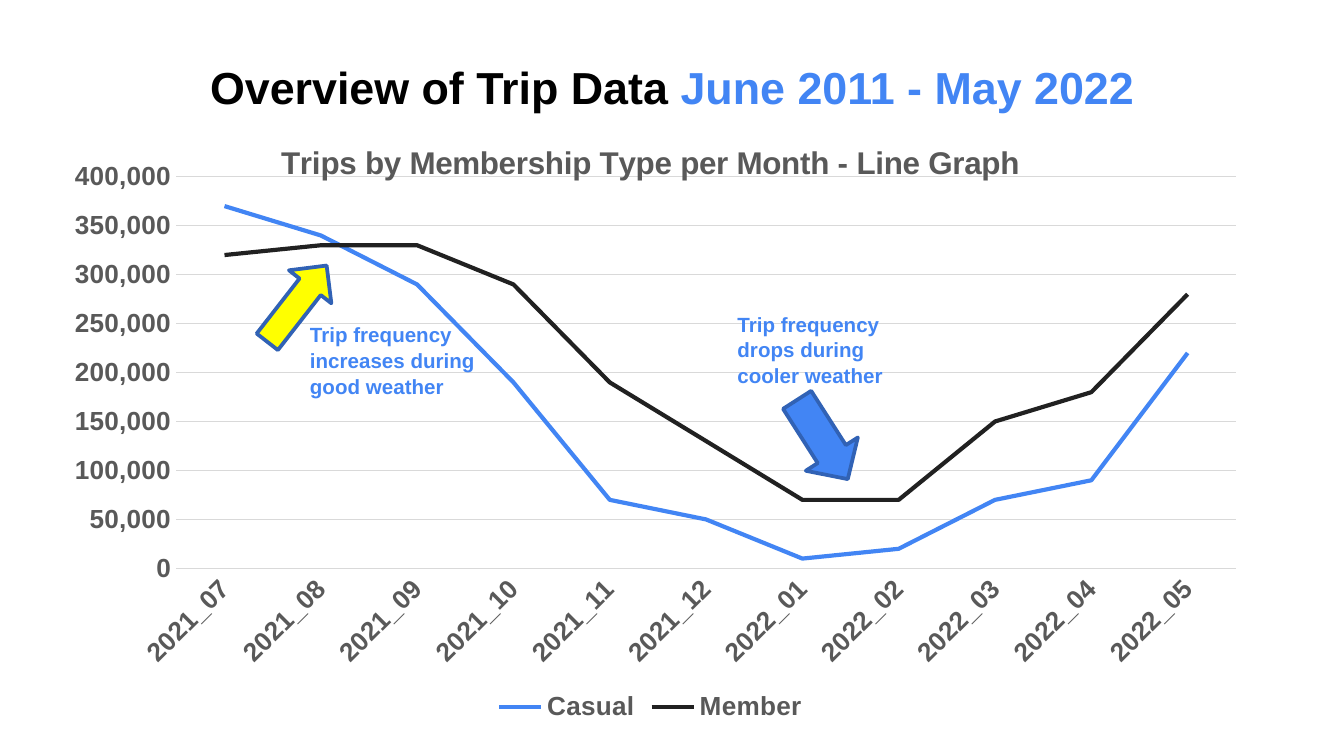
from dataclasses import dataclass

from lxml.etree import SubElement
from pptx import Presentation
from pptx.chart.chart import Chart
from pptx.chart.data import CategoryChartData
from pptx.dml.color import RGBColor
from pptx.enum.chart import XL_CHART_TYPE as ChartType
from pptx.enum.chart import XL_LEGEND_POSITION as LegendPosition
from pptx.enum.chart import XL_MARKER_STYLE as Marker
from pptx.enum.chart import XL_TICK_MARK as TickMark
from pptx.enum.shapes import MSO_SHAPE as Shape
from pptx.enum.text import MSO_ANCHOR as Anchor
from pptx.enum.text import PP_ALIGN as Align
from pptx.oxml.ns import qn
from pptx.slide import Slide
from pptx.util import Pt

BLACK = RGBColor(0x00, 0x00, 0x00)
BLUE = RGBColor(0x42, 0x85, 0xF4)
DARK_BLUE = RGBColor(0x31, 0x62, 0xB5)
CHARCOAL = RGBColor(0x21, 0x21, 0x21)
GREY = RGBColor(0x59, 0x59, 0x59)
LIGHT_GREY = RGBColor(0xD9, 0xD9, 0xD9)
YELLOW = RGBColor(0xFF, 0xFF, 0x00)

MONTHS = [f"2021_{month:02}" for month in range(7, 13)]
MONTHS += [f"2022_{month:02}" for month in range(1, 6)]


@dataclass
class Membership:
    name: str
    thousands: tuple[int, ...]
    color: RGBColor


@dataclass
class Box:
    left: float
    top: float
    width: float
    height: float

    def points(self) -> tuple[Pt, Pt, Pt, Pt]:
        return Pt(self.left), Pt(self.top), Pt(self.width), Pt(self.height)


@dataclass
class Trend:
    note: str
    note_box: Box
    arrow_box: Box
    rotation: float
    fill: RGBColor
    adjustments: tuple[float, float]


MEMBERSHIPS = [
    Membership("Casual", (370, 340, 290, 190, 70, 50, 10, 20, 70, 90, 220), BLUE),
    Membership("Member", (320, 330, 330, 290, 190, 130, 70, 70, 150, 180, 280), CHARCOAL),
]
TRENDS = [
    Trend("Trip frequency drops during cooler weather", Box(388, 162.7, 111, 47.5),
          Box(415.4, 218.9, 50.4, 33.1), 57.4, BLUE, (0.54, 0.48)),
    Trend("Trip frequency increases during good weather", Box(159, 168.5, 111, 47.5),
          Box(133.2, 148.3, 51.8, 28.8), 307.9, YELLOW, (0.5, 0.5)),
]


def style_font(font, size: float, color: RGBColor) -> None:
    for attribute, value in {"name": "Arial", "size": Pt(size), "bold": True}.items():
        setattr(font, attribute, value)
    font.color.rgb = color


def style_line(line, color: RGBColor, width: float) -> None:
    line.color.rgb = color
    line.width = Pt(width)


def set_layout(parent, **settings: str | float) -> None:
    layout = parent.find(qn("c:layout"))
    if layout is None:
        layout = SubElement(parent, qn("c:layout"))
        parent.remove(layout)
        parent.insert(1 if parent.find(qn("c:tx")) is not None else 0, layout)
    for child in list(layout):
        layout.remove(child)
    manual = SubElement(layout, qn("c:manualLayout"))
    for tag, value in settings.items():
        SubElement(manual, qn(f"c:{tag}")).set("val", str(value))


def add_headline(slide: Slide) -> None:
    frame = slide.shapes.add_textbox(*Box(24.5, 24.5, 671, 44).points()).text_frame
    frame.word_wrap = True
    frame.vertical_anchor = Anchor.MIDDLE
    headline = frame.paragraphs[0]
    headline.alignment = Align.CENTER
    for words, color in (("Overview of Trip Data ", BLACK), ("June 2011 - May 2022", BLUE)):
        run = headline.add_run()
        run.text = words
        style_font(run.font, 24, color)


def style_axes(chart: Chart) -> None:
    months, trips = chart.category_axis, chart.value_axis
    for axis in (months, trips):
        axis.major_tick_mark = axis.minor_tick_mark = TickMark.NONE
        style_font(axis.tick_labels.font, 14, GREY)
    style_line(months.format.line, LIGHT_GREY, 0.75)
    months.tick_labels.font
    months._element.find(qn("c:txPr")).find(qn("a:bodyPr")).set("rot", "-2700000")
    trips.format.line.fill.background()
    style_line(trips.major_gridlines.format.line, LIGHT_GREY, 0.75)
    trips.minimum_scale, trips.maximum_scale, trips.major_unit = 0, 400000, 50000
    trips.tick_labels.number_format = "#,##0"
    trips.tick_labels.number_format_is_linked = False


def add_trip_chart(slide: Slide) -> None:
    trip_data = CategoryChartData(number_format="#,##0")
    trip_data.categories = MONTHS
    for membership in MEMBERSHIPS:
        trip_data.add_series(membership.name, [1000 * count for count in membership.thousands])
    chart = slide.shapes.add_chart(
        ChartType.LINE, *Box(24.5, 60.5, 648, 329).points(), trip_data).chart
    style_font(chart.font, 14, BLACK)

    heading = chart.chart_title.text_frame.paragraphs[0].add_run()
    heading.text = "Trips by Membership Type per Month - Line Graph"
    style_font(heading.font, 16.8, GREY)
    chart.chart_title.include_in_layout = False
    set_layout(chart.chart_title._element, xMode="edge", yMode="edge", x=0.19, y=0.04)
    set_layout(chart._chartSpace.chart.plotArea, layoutTarget="inner", xMode="edge",
               yMode="edge", x=0.108, y=0.104, w=0.876, h=0.638)

    chart.has_legend = True
    chart.legend.position = LegendPosition.BOTTOM
    chart.legend.include_in_layout = False
    style_font(chart.legend.font, 14, GREY)
    style_axes(chart)

    chart.plots[0].vary_by_categories = False
    for series, membership in zip(chart.plots[0].series, MEMBERSHIPS):
        series.smooth = False
        series.marker.style = Marker.NONE
        style_line(series.format.line, membership.color, 2.25)


def add_trend(slide: Slide, trend: Trend) -> None:
    arrow = slide.shapes.add_shape(Shape.RIGHT_ARROW, *trend.arrow_box.points())
    arrow.shadow.inherit = False
    arrow.rotation = trend.rotation
    for index, value in enumerate(trend.adjustments):
        arrow.adjustments[index] = value
    arrow.fill.solid()
    arrow.fill.fore_color.rgb = trend.fill
    style_line(arrow.line, DARK_BLUE, 2)

    frame = slide.shapes.add_textbox(*trend.note_box.points()).text_frame
    frame.word_wrap = True
    note = frame.paragraphs[0]
    note.line_spacing = 1.05
    run = note.add_run()
    run.text = trend.note
    style_font(run.font, 11, BLUE)


def main() -> None:
    deck = Presentation()
    deck.slide_width, deck.slide_height = Pt(720), Pt(405)
    slide = deck.slides.add_slide(deck.slide_layouts[6])
    add_headline(slide)
    add_trip_chart(slide)
    for trend in TRENDS:
        add_trend(slide, trend)
    deck.save("out.pptx")


if __name__ == "__main__":
    main()
